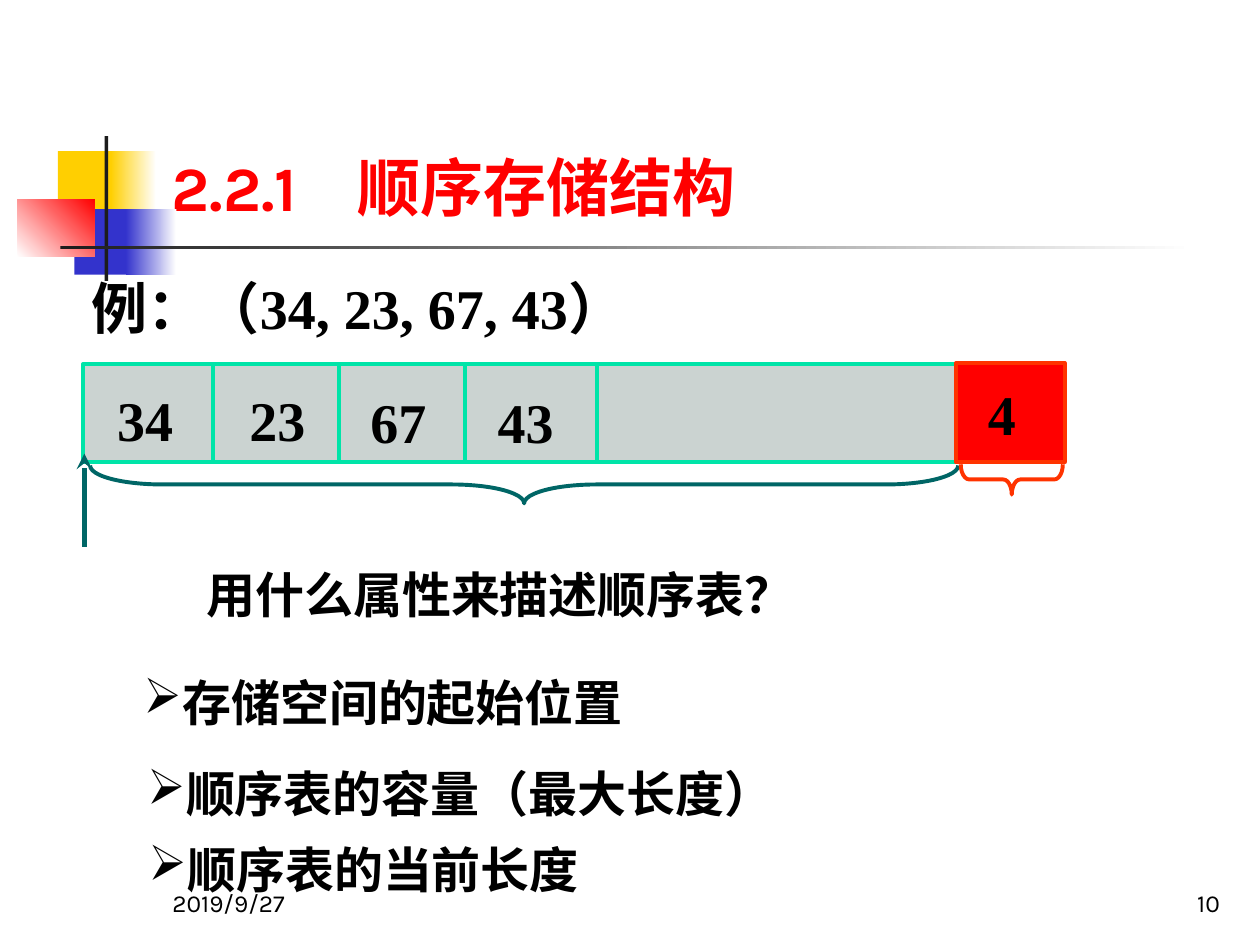
"""Build the slide on sequential storage structure."""
from typing import NamedTuple, Optional

from lxml.etree import SubElement
from pptx import Presentation
from pptx.dml.color import RGBColor as Rgb
from pptx.enum.shapes import MSO_CONNECTOR as Link, MSO_SHAPE as Kind
from pptx.enum.text import MSO_ANCHOR as Anchor, MSO_AUTO_SIZE as Auto, PP_ALIGN as Align
from pptx.oxml.ns import qn
from pptx.util import Inches, Pt

HEX = {
    "gold": "FFCF01", "blue": "3333CC", "red": "FF0000", "white": "FFFFFF",
    "ink": "1C1C1C", "black": "000000", "grey": "CBD3D1", "mint": "00E4A8",
    "teal": "006666", "flame": "FF3300",
}
TIMES, KARLA, ARIAL, NOTO = "Times New Roman", "Karla", "Arial", "Noto Sans CJK SC"


class Block(NamedTuple):
    box: tuple
    fill: str
    fade: Optional[str] = None
    angle: int = 0
    line: Optional[str] = None


class Label(NamedTuple):
    text: str
    box: tuple
    size: int = 32
    face: str = TIMES
    bold: bool = True
    inset: tuple = (0.1, 0.1)
    bullet: bool = False
    wrap: bool = True
    anchor: Anchor = Anchor.TOP
    align: Align = Align.LEFT


class Brace(NamedTuple):
    box: tuple
    curl: float
    color: str


DECOR = [
    Block((0.46, 1.2, 0.48, 0.52), "gold"),
    Block((0.88, 1.2, 0.36, 0.52), "gold", "white"),
    Block((0.59, 1.66, 0.46, 0.52), "blue"),
    Block((1, 1.66, 0.4, 0.52), "blue", "white"),
    Block((0.14, 1.58, 0.61, 0.46), "white", "red", 45),
    Block((0.83, 1.08, 0.03, 1.15), "ink"),
    Block((0.48, 1.95, 9, 0.03), "ink", "white"),
]
TOP, BASE = 2.89, 3.67
ARRAY = Block((0.66, TOP, 6.93, BASE - TOP), "grey", line="mint")
COUNT = Block((7.59, 2.88, 0.86, 0.79), "red", line="flame")
EDGES = (1.69, 2.69, 3.69, 4.74)
CELLS = [("34", 0.93, 3.01), ("23", 1.98, 3.01), ("67", 2.94, 3.03), ("43", 3.95, 3.03)]
BRACES = [
    Brace((4.01, 0.4, 0.3, 6.89), 1.91, "teal"),
    Brace((7.91, 3.4, 0.24, 0.81), 0.28, "flame"),
]
LABELS = [
    Label("2019/9/27", (1.27, 6.83, 2.08, 0.5), 14, KARLA, False, anchor=Anchor.BOTTOM),
    Label("10", (7.7, 6.83, 2.08, 0.5), 14, KARLA, False,
          anchor=Anchor.BOTTOM, align=Align.RIGHT),
    Label("例：（34, 23, 67, 43）", (0.63, 2.12, 5.4, 0.63), inset=(0.1, 0)),
    Label("用什么属性来描述顺序表？", (1.54, 4.43, 5.1, 0.57), 28, NOTO),
    Label("存储空间的起始位置", (1.04, 5.29, 7.17, 0.57), 28, bullet=True),
    Label("顺序表的容量（最大长度）", (1.07, 6.01, 5.2, 0.57), 28, ARIAL,
          bullet=True, wrap=False),
    Label("顺序表的当前长度", (1.08, 6.61, 5.59, 0.57), 28, ARIAL, bullet=True),
]


def tint(name: str) -> Rgb:
    """Return a named colour."""
    return Rgb.from_string(HEX[name])


def place(shape, box: tuple) -> None:
    """Move and size a shape, in inches."""
    shape.left, shape.top, shape.width, shape.height = map(Inches, box)


def style(para, size: int, face: str, color: str = "black", bold: bool = True) -> None:
    """Set the font of a paragraph, East Asian face included."""
    font = para.font
    font.size, font.name, font.bold = Pt(size), face, bold
    font.color.rgb = tint(color)
    node = para._p.pPr.find(qn("a:defRPr"))
    SubElement(node, qn("a:ea")).set("typeface", NOTO)


def write(shape, label: Label) -> None:
    """Fill a shape with one line of text."""
    frame = shape.text_frame
    frame.word_wrap, frame.vertical_anchor = label.wrap, label.anchor
    frame.margin_left, frame.margin_right = map(Inches, label.inset)
    frame.margin_top = frame.margin_bottom = Inches(0.05)
    para = frame.paragraphs[0]
    para.text, para.alignment = label.text, label.align
    if label.bullet:
        SubElement(para._p.get_or_add_pPr(), qn("a:buChar")).set("char", "➢")
    style(para, label.size, label.face, bold=label.bold)


def add_label(slide, label: Label) -> None:
    """Add a text box."""
    write(slide.shapes.add_textbox(*map(Inches, label.box)), label)


def add_block(slide, block: Block):
    """Add a rectangle with a plain or fading fill."""
    shape = slide.shapes.add_shape(Kind.RECTANGLE, *map(Inches, block.box))
    shape.shadow.inherit = False
    if block.fade:
        shape.fill.gradient()
        shape.fill.gradient_angle = block.angle
        for stop, name in zip(shape.fill.gradient_stops, (block.fill, block.fade)):
            stop.color.rgb = tint(name)
    else:
        shape.fill.solid()
        shape.fill.fore_color.rgb = tint(block.fill)
    if block.line:
        shape.line.color.rgb, shape.line.width = tint(block.line), Pt(2.25)
    else:
        shape.line.fill.background()
    return shape


def add_line(slide, start: tuple, end: tuple, color: str, width: float, tip: bool = False) -> None:
    """Add a straight line, with an arrowhead if asked."""
    line = slide.shapes.add_connector(Link.STRAIGHT, *map(Inches, start + end))
    line.line.color.rgb, line.line.width = tint(color), Pt(width)
    if tip:
        SubElement(line.line._get_or_add_ln(), qn("a:tailEnd")).set("type", "stealth")
    SubElement(line._element.spPr, qn("a:effectLst"))


def add_brace(slide, brace: Brace) -> None:
    """Add a brace that points down."""
    shape = slide.shapes.add_shape(Kind.LEFT_BRACE, *map(Inches, brace.box))
    shape.rotation = 270
    shape.adjustments[0], shape.adjustments[1] = brace.curl, 0.5
    shape.shadow.inherit = False
    shape.fill.background()
    shape.line.color.rgb, shape.line.width = tint(brace.color), Pt(2.25)


def set_title(slide) -> None:
    """Place and format the title, its number set apart by a tab."""
    title = slide.shapes.title
    place(title, (1.26, 0.23, 8.52, 1.6))
    frame = title.text_frame
    frame.auto_size, frame.vertical_anchor = Auto.NONE, Anchor.BOTTOM
    para = frame.paragraphs[0]
    para.text, para.alignment = "2.2.1\t顺序存储结构", Align.LEFT
    tabs = SubElement(para._p.get_or_add_pPr(), qn("a:tabLst"))
    SubElement(tabs, qn("a:tab"), pos=str(Inches(1.48)), algn="l")
    style(para, 36, KARLA, "red")


def main() -> None:
    """Build and save the slide."""
    deck = Presentation()
    deck.slide_width, deck.slide_height = Inches(10), Inches(7.5)
    slide = deck.slides.add_slide(deck.slide_layouts[5])
    for block in DECOR:
        add_block(slide, block)
    set_title(slide)
    add_block(slide, ARRAY)
    for edge in EDGES:
        add_line(slide, (edge, TOP), (edge, BASE), "mint", 2.25)
    for text, left, top in CELLS:
        add_label(slide, Label(text, (left, top, 0.53, 0.63), inset=(0, 0)))
    add_line(slide, (0.67, 4.34), (0.67, 3.6), "teal", 3, tip=True)
    count = add_block(slide, COUNT)
    write(count, Label("4", COUNT.box, inset=(0.25, 0.1), anchor=Anchor.MIDDLE))
    for brace in BRACES:
        add_brace(slide, brace)
    for label in LABELS:
        add_label(slide, label)
    deck.save("out.pptx")


if __name__ == "__main__":
    main()
